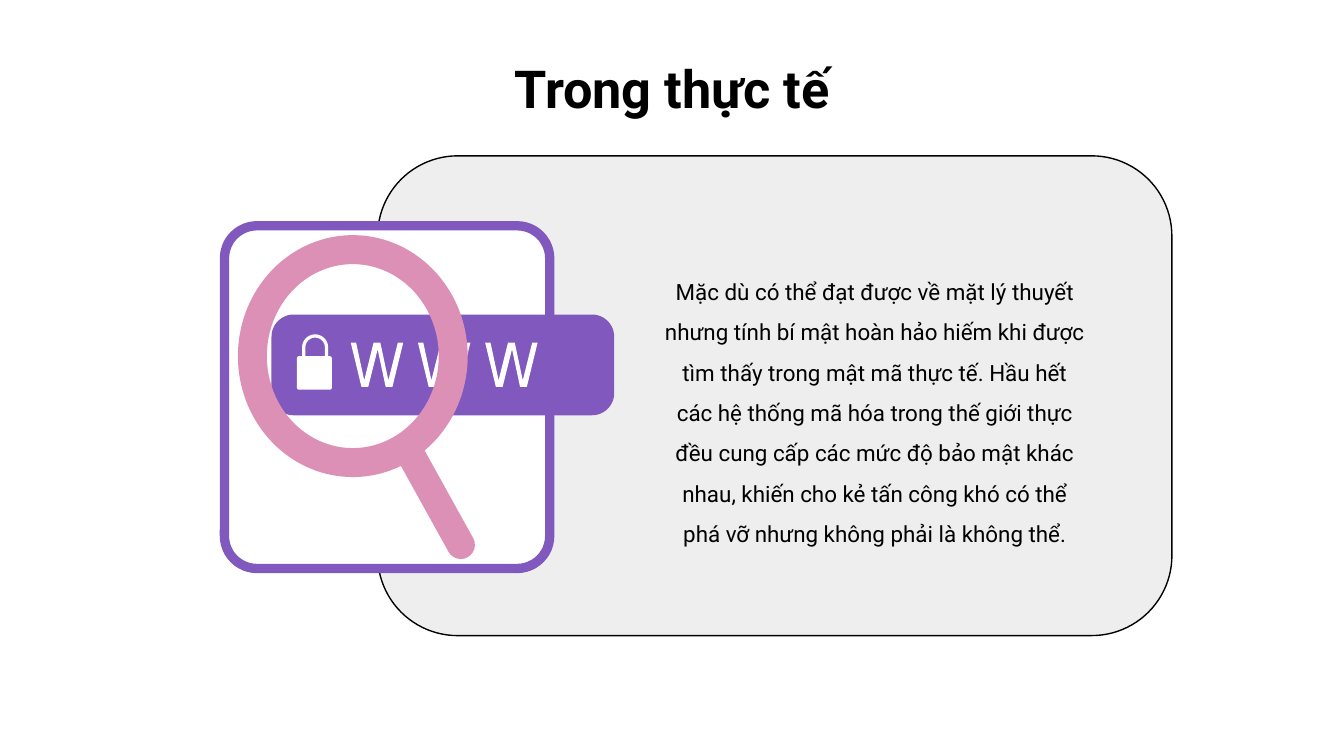
from dataclasses import dataclass

from pptx import Presentation
from pptx.dml.color import RGBColor
from pptx.enum.shapes import MSO_SHAPE
from pptx.enum.text import MSO_ANCHOR, PP_ALIGN
from pptx.util import Inches, Pt


@dataclass(frozen=True)
class Theme:
    font: str = "Roboto"
    title_size: int = 28
    body_size: int = 12
    black: str = "000000"
    white: str = "FFFFFF"
    panel: str = "EEEEEE"
    purple: str = "8058BE"
    pink: str = "DD90B6"


THEME = Theme()
UNITS_PER_INCH = 100
LETTER_W = [(0, 0), (8, 33), (13, 33), (19.5, 5), (26, 33), (31, 33), (39, 0),
            (35, 0), (28, 28), (22, 0), (17, 0), (10.5, 28), (4, 0)]
BODY = (
    "Mặc dù có thể đạt được về mặt lý thuyết nhưng tính bí mật hoàn hảo hiếm khi "
    "được tìm thấy trong mật mã thực tế. Hầu hết các hệ thống mã hóa trong thế giới "
    "thực đều cung cấp các mức độ bảo mật khác nhau, khiến cho kẻ tấn công khó có "
    "thể phá vỡ nhưng không phải là không thể."
)


def paint(shape, fill=None, line=None, line_width=0.75):
    shape.shadow.inherit = False
    if fill:
        shape.fill.solid()
        shape.fill.fore_color.rgb = RGBColor.from_string(fill)
    else:
        shape.fill.background()
    if line:
        shape.line.color.rgb = RGBColor.from_string(line)
        shape.line.width = Pt(line_width)
    else:
        shape.line.fill.background()


def add_preset(slide, preset, box, adjustment, **colours):
    shape = slide.shapes.add_shape(preset, *map(Inches, box))
    shape.adjustments[0] = adjustment
    paint(shape, **colours)
    return shape


def add_letter_w(slide, left, top):
    builder = slide.shapes.build_freeform(
        *LETTER_W[0], scale=Inches(1) / UNITS_PER_INCH)
    builder.add_line_segments(LETTER_W[1:], close=True)
    shape = builder.convert_to_shape(Inches(left), Inches(top))
    paint(shape, fill=THEME.white)


def add_text(slide, text, box, size, bold=False, side_inset=0.1,
             anchor=MSO_ANCHOR.TOP, line_spacing=1.0):
    frame = slide.shapes.add_textbox(*map(Inches, box)).text_frame
    frame.word_wrap = True
    frame.vertical_anchor = anchor
    frame.margin_left = frame.margin_right = Inches(side_inset)
    frame.margin_top = frame.margin_bottom = Inches(0.1)
    paragraph = frame.paragraphs[0]
    paragraph.text = text
    paragraph.alignment = PP_ALIGN.CENTER
    paragraph.line_spacing = line_spacing
    paragraph.font.name = THEME.font
    paragraph.font.size = Pt(size)
    paragraph.font.bold = bold
    paragraph.font.color.rgb = RGBColor.from_string(THEME.black)


def add_padlock(slide):
    add_preset(slide, MSO_SHAPE.ROUNDED_RECTANGLE, (2.21, 2.65, 0.26, 0.25),
               0.06, fill=THEME.white)
    add_preset(slide, MSO_SHAPE.ROUND_2_SAME_RECTANGLE, (2.26, 2.5, 0.17, 0.24),
               0.5, line=THEME.white, line_width=1.75)


def add_magnifier(slide):
    add_preset(slide, MSO_SHAPE.DONUT, (1.77, 1.75, 1.71, 1.8), 0.126,
               fill=THEME.pink)
    handle = add_preset(slide, MSO_SHAPE.ROUNDED_RECTANGLE,
                        (3.13, 3.2, 0.21, 1.01), 0.5, fill=THEME.pink)
    handle.rotation = -29


def add_web_search_icon(slide):
    add_preset(slide, MSO_SHAPE.ROUNDED_RECTANGLE, (1.67, 1.68, 2.42, 2.55), 0.1,
               fill=THEME.white, line=THEME.purple, line_width=5)
    add_preset(slide, MSO_SHAPE.ROUNDED_RECTANGLE, (2.02, 2.34, 2.55, 0.75), 0.22,
               fill=THEME.purple)
    add_padlock(slide)
    for index in range(3):
        add_letter_w(slide, 2.61 + 0.5 * index, 2.55)
    add_magnifier(slide)


def main():
    presentation = Presentation()
    presentation.slide_width = Inches(10)
    presentation.slide_height = Inches(10) * 9 // 16
    slide = presentation.slides.add_slide(presentation.slide_layouts[6])

    add_text(slide, "Trong thực tế", (0.5, 0.32, 9, 0.63), THEME.title_size,
             bold=True)
    add_preset(slide, MSO_SHAPE.ROUNDED_RECTANGLE, (2.81, 1.16, 5.91, 3.57), 0.167,
               fill=THEME.panel, line=THEME.black)
    add_web_search_icon(slide)
    add_text(slide, BODY, (4.94, 1.08, 3.14, 3.88), THEME.body_size, side_inset=0,
             anchor=MSO_ANCHOR.MIDDLE, line_spacing=1.5)
    presentation.save("out.pptx")


if __name__ == "__main__":
    main()
